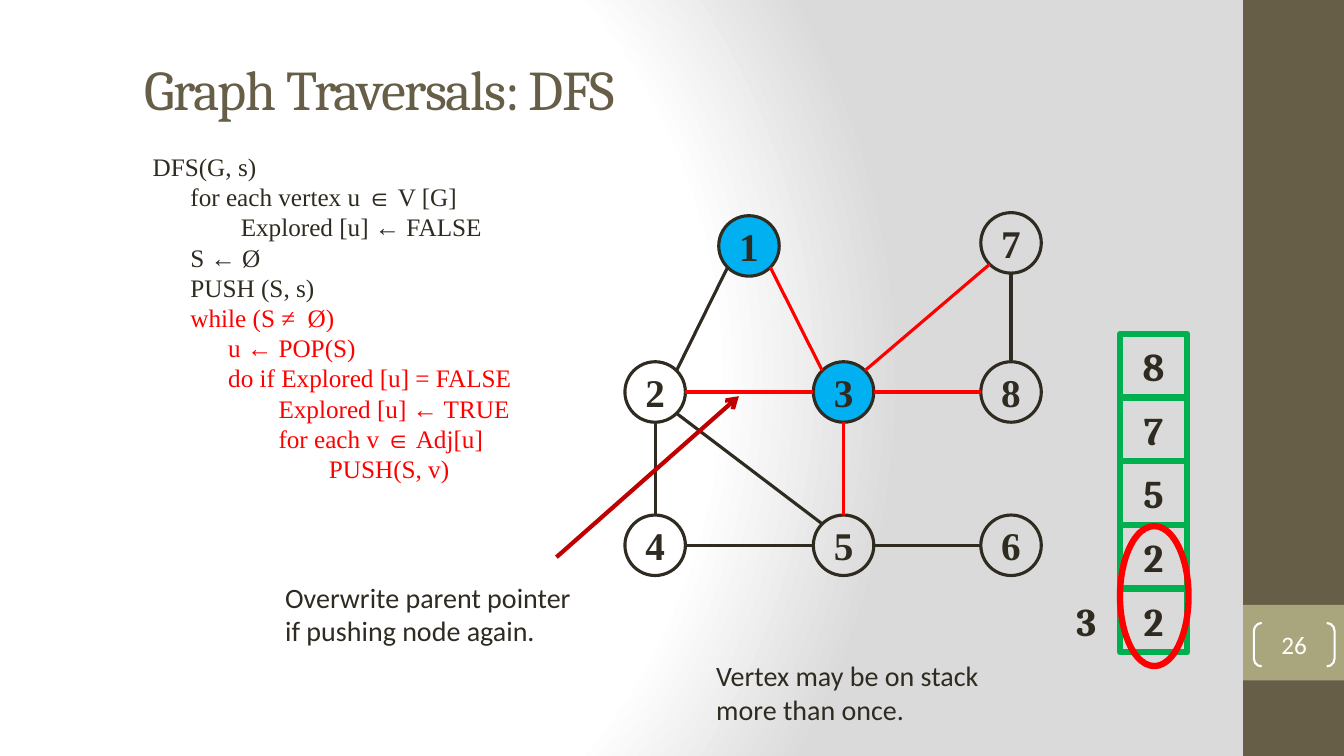
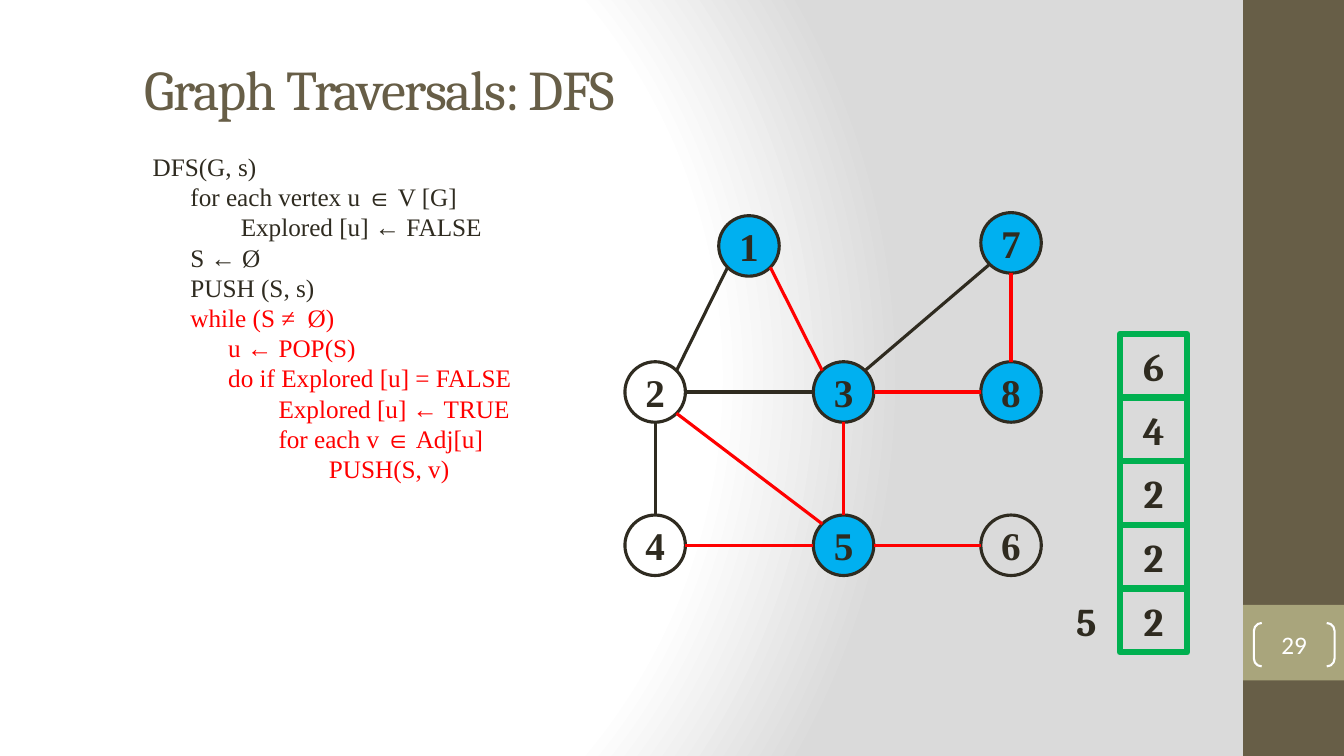
from math import atan2, cos, pi, sin

from lxml.etree import SubElement
from pptx import Presentation
from pptx.dml.color import RGBColor
from pptx.enum.shapes import MSO_CONNECTOR, MSO_SHAPE
from pptx.enum.text import MSO_ANCHOR, PP_ALIGN
from pptx.oxml import parse_xml
from pptx.oxml.ns import nsdecls, qn
from pptx.util import Pt


class Theme:
    ink = RGBColor.from_string("2F2B20")
    brown = RGBColor.from_string("675E47")
    khaki = RGBColor.from_string("A9A57C")
    white = RGBColor.from_string("FFFFFF")
    red = RGBColor.from_string("FF0000")
    dark_red = RGBColor.from_string("C00000")
    green = RGBColor.from_string("00B050")
    blue = RGBColor.from_string("00B0F0")
    head, body, serif, symbol = "Cambria", "Calibri", "Times New Roman", "Arial"
    title_size, label_size, note_size, small_size = 40, 28, 20, 18


# Node centres, edges, and the pseudocode are the same on every slide.
RADIUS = 21.6
NODES = {
    1: (535, 175.7), 2: (468, 280), 3: (602.6, 280), 4: (468, 389.5),
    5: (602.6, 389.5), 6: (722.2, 389.5), 7: (722.2, 173.5), 8: (722.2, 280),
}
EDGES = [(1, 2), (1, 3), (4, 5), (2, 4), (2, 5), (3, 5),
         (2, 3), (3, 8), (3, 7), (7, 8), (5, 6)]
CODE = [
    "DFS(G, s)",
    "      for each vertex u ∈ V [G]",
    "              Explored [u] ← FALSE",
    "      S ← Ø",
    "      PUSH (S, s)",
    "      while (S ≠  Ø)",
    "            u ← POP(S)",
    "            do if Explored [u] = FALSE",
    "                    Explored [u] ← TRUE",
    "                    for each v ∈ Adj[u]",
    "                            PUSH(S, v)",
]
LOOP_START = 5
CELL_X, CELL_Y, CELL_W, CELL_H = 800, 420.5, 48, 45.5

# Stacks are listed from the bottom up.
STEPS = [
    dict(number=26, current=3, explored={1, 3}, stack=[2, 2, 5, 7, 8],
         active={(1, 3), (3, 5), (2, 3), (3, 8), (3, 7)}),
    dict(number=29, current=5, explored={1, 3, 5, 7, 8}, stack=[2, 2, 2, 4, 6],
         active={(1, 3), (4, 5), (2, 5), (3, 5), (3, 8), (7, 8), (5, 6)}),
]


def add_box(s, kind, x, y, w, h, text="", fill=None, line=None, weight=0,
            font=Theme.head, size=Theme.label_size, color=Theme.ink, bold=True):
    """Add a preset shape, or a text box when kind is None, with centred text."""
    frame = Pt(x), Pt(y), Pt(w), Pt(h)
    if kind is None:
        sp = s.shapes.add_textbox(*frame)
    else:
        sp = s.shapes.add_shape(kind, *frame)
        sp.shadow.inherit = False
    if fill is None:
        sp.fill.background()
    else:
        sp.fill.solid()
        sp.fill.fore_color.rgb = fill
    if line is None:
        sp.line.fill.background()
    else:
        sp.line.color.rgb = line
        sp.line.width = Pt(weight)
    tf = sp.text_frame
    tf.word_wrap = True
    tf.vertical_anchor = MSO_ANCHOR.MIDDLE
    if text:
        p = tf.paragraphs[0]
        p.alignment = PP_ALIGN.CENTER
        r = p.add_run()
        r.text = str(text)
        r.font.name, r.font.size, r.font.bold = font, Pt(size), bold
        r.font.color.rgb = color
    return sp


def add_line(s, x1, y1, x2, y2, color, weight):
    cx = s.shapes.add_connector(MSO_CONNECTOR.STRAIGHT, Pt(x1), Pt(y1), Pt(x2), Pt(y2))
    cx.line.color.rgb = color
    cx.line.width = Pt(weight)
    SubElement(cx._element.spPr, qn("a:effectLst"))
    return cx


prs = Presentation()
prs.slide_width, prs.slide_height = Pt(960), Pt(540)
master = prs.slide_master
layout = prs.slide_layouts.get_by_name("Title Only")

# Master background
c_sld = master.element.cSld
for bg in c_sld.findall(qn("p:bg")):
    c_sld.remove(bg)
c_sld.insert(0, parse_xml(f"""
<p:bg {nsdecls("p", "a")}><p:bgPr>
  <a:gradFill rotWithShape="1">
    <a:gsLst>
      <a:gs pos="0"><a:srgbClr val="FFFFFF"/></a:gs>
      <a:gs pos="75000"><a:srgbClr val="FFFFFF"/></a:gs>
      <a:gs pos="100000"><a:srgbClr val="DADADA"/></a:gs>
    </a:gsLst>
    <a:path path="circle"><a:fillToRect l="20000" t="50000" r="100000" b="50000"/></a:path>
  </a:gradFill><a:effectLst/>
</p:bgPr></p:bg>"""))

# Master title style
title_style = master.element.find(".//" + qn("p:titleStyle")).find(qn("a:lvl1pPr"))
title_style.set("algn", "l")
title_style.replace(title_style.find(qn("a:defRPr")), parse_xml(f"""
<a:defRPr {nsdecls("a")} sz="{Theme.title_size * 100}" spc="-100">
  <a:solidFill><a:srgbClr val="{Theme.brown}"/></a:solidFill>
  <a:latin typeface="{Theme.head}"/>
</a:defRPr>"""))
for owner in (master, layout):
    title = owner.placeholders[0]
    title.left, title.top, title.width, title.height = Pt(96), Pt(30), Pt(767), Pt(66)

slides = [prs.slides.add_slide(layout) for step in STEPS]

# Side bands are drawn on a slide, then moved to the back of the master.
for i, (y, h, fill) in enumerate([(0, 540, Theme.brown), (432, 54, Theme.khaki)]):
    band = add_box(slides[0], MSO_SHAPE.RECTANGLE, 888, y, 72, h, fill=fill)._element
    band.nvSpPr.cNvPr.set("id", str(101 + i))
    master.shapes._spTree.insert(2 + i, band)

for s, step in zip(slides, STEPS):
    s.shapes.title.text_frame.text = "Graph Traversals: DFS"

    # Pseudocode
    tf = s.shapes.add_textbox(Pt(102), Pt(104.4), Pt(333), Pt(247)).text_frame
    tf.word_wrap = True
    for i, code_line in enumerate(CODE):
        p = tf.paragraphs[0] if i == 0 else tf.add_paragraph()
        p.line_spacing = Pt(21.6)
        for part in code_line.replace("∈", "|∈|").split("|"):
            r = p.add_run()
            r.text = part
            r.font.name = Theme.symbol if part == "∈" else Theme.serif
            r.font.size = Pt(Theme.small_size)
            r.font.color.rgb = Theme.red if i >= LOOP_START else Theme.ink

    # Slide number
    sp = add_box(s, MSO_SHAPE.DOUBLE_BRACKET, 895.7, 445, 57.6, 31, step["number"],
                 line=Theme.white, weight=1.5, font=Theme.body,
                 size=Theme.small_size, color=Theme.white, bold=False)
    sp.adjustments[0] = 0.18
    tf = sp.text_frame
    tf.margin_left = tf.margin_top = tf.margin_right = tf.margin_bottom = 0

    # Graph
    for node, (x, y) in NODES.items():
        sp = add_box(s, MSO_SHAPE.OVAL, x - RADIUS, y - RADIUS, 2 * RADIUS, 2 * RADIUS, node,
                     fill=Theme.blue if node in step["explored"] else None,
                     line=Theme.ink, weight=2.25, font=Theme.serif)
        sp.text_frame.word_wrap = False
    for edge in EDGES:
        (x1, y1), (x2, y2) = (NODES[node] for node in edge)
        # Edges leave a circle at the nearest multiple of 45 degrees.
        angle = round(atan2(y2 - y1, x2 - x1) / (pi / 4)) * pi / 4
        dx, dy = RADIUS * cos(angle), RADIUS * sin(angle)
        add_line(s, x1 + dx, y1 + dy, x2 - dx, y2 - dy,
                 Theme.red if edge in step["active"] else Theme.ink, 2.25)

    # Stack
    for i, value in enumerate(step["stack"]):
        add_box(s, MSO_SHAPE.RECTANGLE, CELL_X, CELL_Y - i * CELL_H, CELL_W, CELL_H, value,
                line=Theme.green, weight=4.5)
    add_box(s, None, CELL_X - CELL_W, CELL_Y, CELL_W, CELL_H, step["current"])

# Remarks on the first step
s = slides[0]
arrow = add_line(s, 397.5, 398, 527.8, 283, Theme.dark_red, 3)
SubElement(arrow.line._get_or_add_ln(), qn("a:tailEnd"), type="arrow")
add_box(s, MSO_SHAPE.OVAL, CELL_X, 375.8, 49, 100, line=Theme.red, weight=4.5)
for x, y, note in [(196.6, 411, "Overwrite parent pointer if pushing node again."),
                   (504.5, 467, "Vertex may be on stack more than once.")]:
    sp = add_box(s, None, x, y, 223, 55.7, note, font=Theme.body,
                 size=Theme.note_size, bold=False)
    sp.text_frame.vertical_anchor = MSO_ANCHOR.TOP
    sp.text_frame.paragraphs[0].alignment = PP_ALIGN.LEFT

prs.save("out.pptx")
